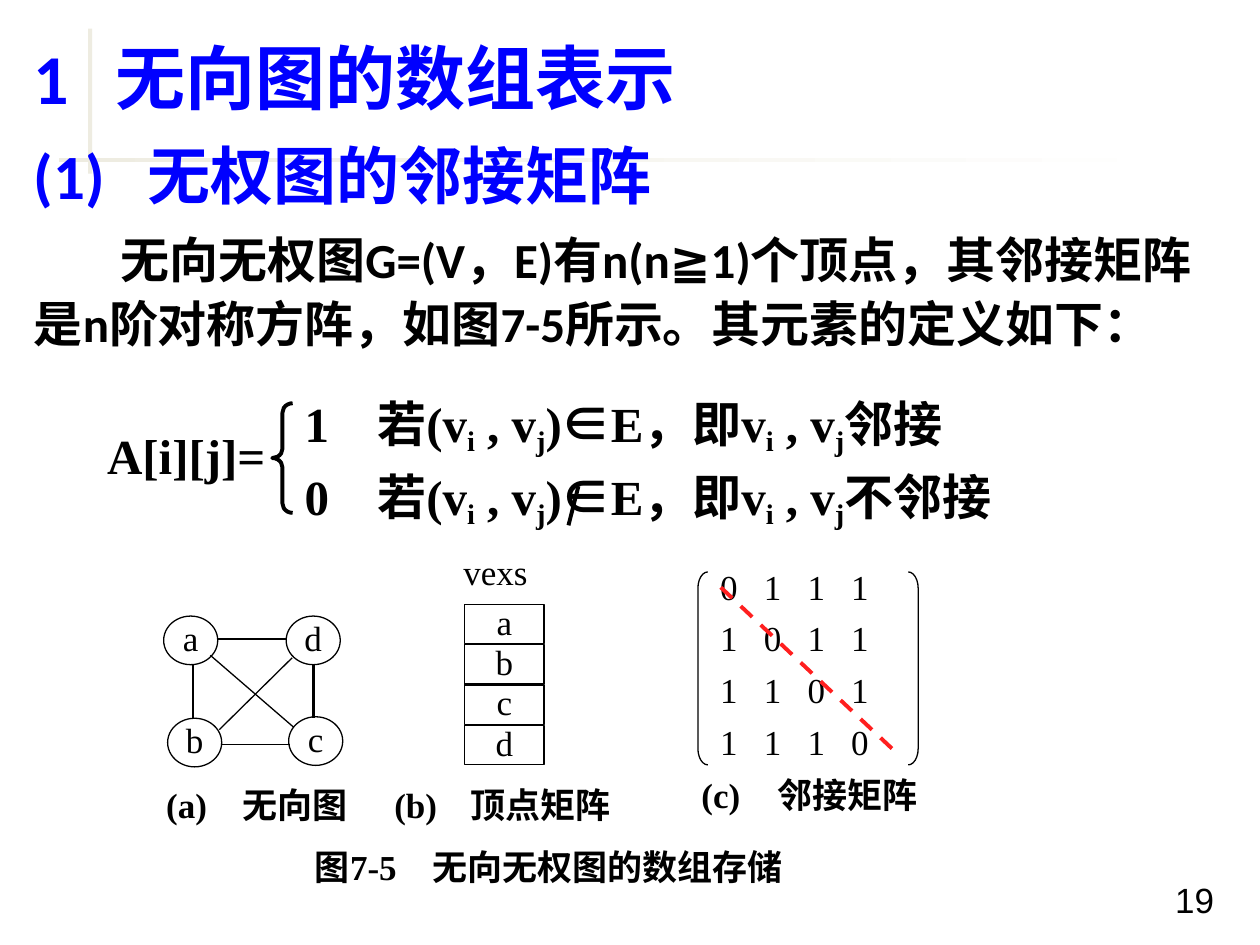
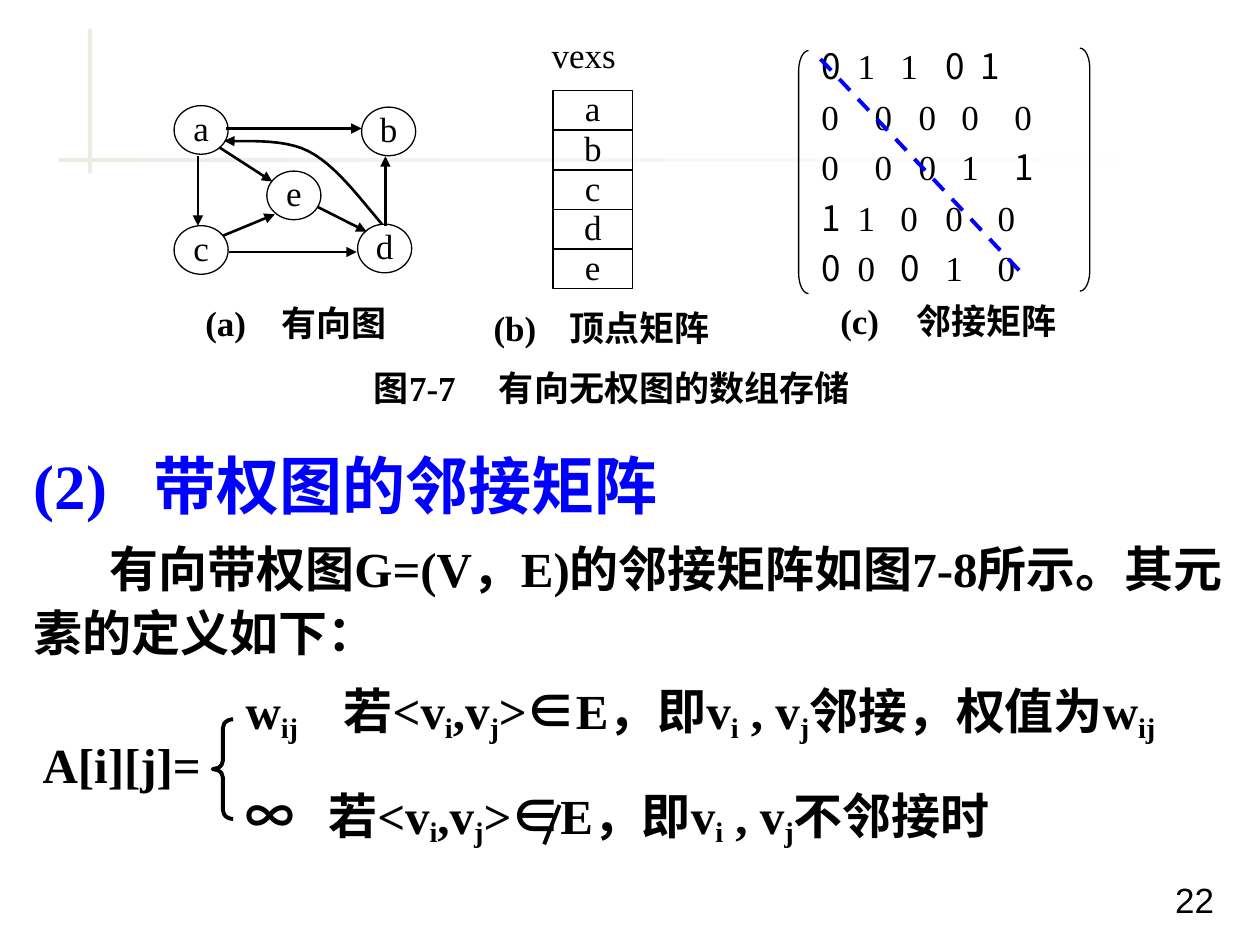
import pptx
import pptx.dml.color
import pptx.enum.dml
import pptx.enum.shapes
import pptx.enum.text
import pptx.oxml
import pptx.oxml.ns
import pptx.util

Cm, Pt = pptx.util.Cm, pptx.util.Pt
SHAPE = pptx.enum.shapes.MSO_SHAPE
ALIGN = pptx.enum.text.PP_ALIGN
ANCHOR = pptx.enum.text.MSO_ANCHOR
DRAWING = pptx.oxml.ns.nsdecls("a")

BLACK = pptx.dml.color.RGBColor(0x00, 0x00, 0x00)
BLUE = pptx.dml.color.RGBColor(0x00, 0x00, 0xFF)
RED = pptx.dml.color.RGBColor(0xFF, 0x1F, 0x1F)
WHITE = pptx.dml.color.RGBColor(0xFF, 0xFF, 0xFF)
BEIGE = pptx.dml.color.RGBColor(0xEE, 0xEC, 0xE1)

SERIF, SANS, CJK = "Times New Roman", "Calibri", "Noto Sans CJK SC"
PLAIN = {"name": SERIF, "size": Pt(20), "bold": False}
CAPTION = PLAIN | {"bold": True}
FORMULA = CAPTION | {"size": Pt(28)}
NUMBER = PLAIN | {"name": "Arial"}


def write(paragraph, markup, font, color=BLACK, tabs=(), indents=None, **layout):
    """Fill a paragraph; '|' parts runs, '_' starts a subscript, '~' a CJK-font run."""
    properties = paragraph._p.get_or_add_pPr()
    if indents:
        left, first = indents
        for key, value in {"marL": Cm(left), "indent": Cm(first), "hangingPunct": 0}.items():
            properties.set(key, str(int(value)))
        properties.append(pptx.oxml.parse_xml(f"<a:buNone {DRAWING}/>"))
    if tabs:
        stops = "".join(f'<a:tab pos="{int(Cm(stop))}" algn="l"/>' for stop in tabs)
        properties.append(pptx.oxml.parse_xml(f"<a:tabLst {DRAWING}>{stops}</a:tabLst>"))
    settings = {"line_spacing": 0.9, "space_before": Pt(0), "alignment": ALIGN.LEFT} | layout
    for key, value in settings.items():
        setattr(paragraph, key, value)
    for piece in markup.split("|"):
        run = paragraph.add_run()
        run.text = piece.lstrip("_~")
        run_font = font | {"name": CJK} if piece.startswith("~") else font
        for key, value in run_font.items():
            setattr(run.font, key, value)
        run.font.color.rgb = color
        run_properties = run._r.get_or_add_rPr()
        east_asian = CJK if piece.startswith("~") else SANS
        run_properties.append(pptx.oxml.parse_xml(
            f'<a:ea {DRAWING} typeface="{east_asian}"/>'))
        if piece.startswith("_"):
            run_properties.set("baseline", "-18000")


def outline(slide, kind, left, top, width, height, weight=0.75):
    """Add an unfilled black-lined preset shape, measured in centimetres."""
    shape = slide.shapes.add_shape(kind, Cm(left), Cm(top), Cm(width), Cm(height))
    shape.shadow.inherit = False
    shape.fill.background()
    shape.line.color.rgb = BLACK
    shape.line.width = Pt(weight)
    return shape


deck = pptx.Presentation()
deck.slide_width, deck.slide_height = Cm(25.4), Cm(19.05)
content_layout = deck.slide_layouts[1]
undirected = deck.slides.add_slide(content_layout)
directed = deck.slides.add_slide(content_layout)

# Crossed bands shared through the layout
vertical = outline(undirected, SHAPE.RECTANGLE, 1.78, 0.58, 0.08, 2.92)
vertical.fill.solid()
vertical.fill.fore_color.rgb = BEIGE
horizontal = outline(undirected, SHAPE.RECTANGLE, 1.19, 3.18, 22.86, 0.08)
horizontal.fill.gradient()
horizontal.fill.gradient_angle = 0
for stop, color, position in zip(horizontal.fill.gradient_stops, (BEIGE, WHITE), (0, 1)):
    stop.color.rgb = color
    stop.position = position
for band in (horizontal, vertical):
    band.line.fill.background()
    content_layout.shapes.element.insert(2, band.element)

# Headings and running text: (size, colour, (left, first-line) indents, line pitch, text)
sections = [
    (undirected, SANS, (0.36, 2.2), (2.5, 4.9),
     [(40, BLUE, (1.65, -1.65), 54, "1\t无向图的数组表示")],
     [(36, BLUE, (2.28, -2.28), 47, "(1)\t无权图的邻接矩阵"),
      (28, BLACK, (0, 1.75), 36.6,
       "无向无权图G=(V，E)有n(n≧1)个顶点，其邻接矩阵是n阶对称方阵，如图7-5所示。其元素的定义如下：")]),
    (directed, SERIF, (8.74, 1.84), (10.63, 2.9),
     [(36, BLUE, (2.42, -2.42), 47, "(2)\t带权图的邻接矩阵")],
     [(28, BLACK, (0, 1.53), 36.6,
       "有向带权图G=(V，E)的邻接矩阵如图7-8所示。其元素的定义如下：")]),
]
for slide, face, heading_span, body_span, heading, body in sections:
    for holder, (top, height), lines in zip(slide.placeholders, (heading_span, body_span),
                                            (heading, body)):
        holder.left, holder.top = Cm(0.43), Cm(top)
        holder.width, holder.height = Cm(24.49), Cm(height)
        frame = holder.text_frame
        frame.auto_size = pptx.enum.text.MSO_AUTO_SIZE.NONE
        frame.vertical_anchor = ANCHOR.TOP
        for index, (size, color, indents, pitch, text) in enumerate(lines):
            paragraph = frame.add_paragraph() if index else frame.paragraphs[0]
            write(paragraph, text, {"name": face, "size": Pt(size), "bold": True}, color,
                  indents=indents, line_spacing=Pt(pitch),
                  space_before=Pt(6.6 if index else 0))

# Formulas, captions and matrix rows: (slide, text, left, top, width, height, font, tabs)
labels = [
    (undirected, "1\t若(v|_i| , v|_j|)|~∈|E，即v|_i| , v|_j|邻接",
     5.89, 7.92, 14.2, 1.3, FORMULA, [1.47]),
    (undirected, "0\t若(v|_i| , v|_j|)|~∈|E，即v|_i| , v|_j|不邻接",
     5.89, 9.4, 15.4, 1.3, FORMULA, [1.47]),
    (undirected, "A[i][j]=", 1.91, 8.66, 3.6, 1.19, FORMULA, []),
    (undirected, "(a)\t无向图", 3.1, 15.82, 4.2, 0.89, CAPTION, [1.53]),
    (undirected, "(b)\t顶点矩阵", 7.7, 15.82, 5, 0.89, CAPTION, [1.53]),
    (undirected, "(c)\t邻接矩阵", 13.89, 15.62, 5, 0.89, CAPTION, [1.53]),
    (undirected, "图7-5\t无向无权图的数组存储", 6.1, 17.07, 10, 0.89, CAPTION, [2.36]),
    (undirected, "vexs", 9.09, 11.13, 2, 0.89, PLAIN, []),
    (directed, "w|_ij|\t若<v|_i|,v|_j|>|~∈|E，即v|_i| , v|_j|邻接，权值为w|_ij",
     4.7, 13.72, 20.5, 1.3, FORMULA, [1.98]),
    (directed, "~∞|\t若<v|_i|,v|_j|>|~∈|E，即v|_i| , v|_j|不邻接时",
     4.7, 15.82, 16.8, 1.3, FORMULA, [1.67]),
    (directed, "A[i][j]=", 0.61, 14.88, 3.6, 1.19, FORMULA, []),
    (directed, "(a)\t有向图", 3.89, 6.12, 4.2, 0.89, CAPTION, [1.53]),
    (directed, "(b)\t顶点矩阵", 9.7, 6.22, 5, 0.89, CAPTION, [1.53]),
    (directed, "(c)\t邻接矩阵", 16.69, 6.07, 5, 0.89, CAPTION, [1.53]),
    (directed, "图7-7\t有向无权图的数组存储", 7.29, 7.42, 10, 0.89, CAPTION, [2.52]),
    (directed, "vexs", 10.87, 0.71, 2, 0.89, PLAIN, []),
    (undirected, "19", 23.44, 17.68, 1.9, 1.02, NUMBER, []),
    (directed, "22", 23.44, 17.68, 1.9, 1.02, NUMBER, []),
]
for row in range(4):
    digits = "\t".join("0" if row == column else "1" for column in range(4))
    labels.append((undirected, digits, 14.27, 11.43 + 1.04 * row, 3.89, 0.89, PLAIN,
                   [0.88, 1.76, 2.64]))
narrow, wide = [0.73, 1.59, 2.5], [1.07, 1.96, 2.82, 3.89]
directed_rows = [
    ("~0|\t1\t1\t|~0|\t|~1", narrow + [3.21]),
    ("0\t0\t0\t0\t0", wide),
    ("0\t0\t0\t1\t|~1", wide),
    ("~1|\t1\t0\t0\t0", narrow + [3.55]),
    ("~0|\t0\t|~0|\t1\t0", narrow + [3.55]),
]
for row, (digits, stops) in enumerate(directed_rows):
    labels.append((directed, digits, 16.31, 0.93 + 1.02 * row, 5.31, 0.89, PLAIN, stops))

for slide, text, left, top, width, height, font, tabs in labels:
    frame = slide.shapes.add_textbox(Cm(left), Cm(top), Cm(width), Cm(height)).text_frame
    frame.word_wrap = True
    frame.margin_right = 0
    frame.vertical_anchor = ANCHOR.TOP if font is NUMBER else ANCHOR.MIDDLE
    write(frame.paragraphs[0], text, font, tabs=tabs)

# Graph vertices and vertex arrays
vertices = [
    (undirected, {"a": (3.3, 12.42), "b": (3.38, 14.48), "c": (5.82, 14.45),
                  "d": (5.77, 12.42)}, 9.37, 12.19, 0.81),
    (directed, {"a": (3.51, 2.13), "b": (7.29, 2.16), "c": (3.51, 4.55),
                "d": (7.21, 4.52), "e": (5.38, 3.45)}, 11.15, 1.83, 0.8),
]
for slide, places, array_left, array_top, step in vertices:
    for index, (name, (left, top)) in enumerate(places.items()):
        node = outline(slide, SHAPE.OVAL, left, top, 1.09, 0.98)
        cell = outline(slide, SHAPE.RECTANGLE, array_left, array_top + step * index, 1.6, 0.79)
        for holder in (node, cell):
            frame = holder.text_frame
            frame.word_wrap = False
            frame.vertical_anchor = ANCHOR.MIDDLE
            for side in ("left", "right", "top", "bottom"):
                setattr(frame, f"margin_{side}", 0)
            write(frame.paragraphs[0], name, PLAIN, alignment=ALIGN.CENTER)

# Braces of the formulas and brackets of the matrices
enclosures = [
    (undirected, SHAPE.LEFT_BRACE, 5.49, 8.13, 0.41, 2.21, 2.25, 0.46),
    (directed, SHAPE.LEFT_BRACE, 4.29, 14.5, 0.41, 2.01, 2.25, 0.42),
    (undirected, SHAPE.LEFT_BRACKET, 14.07, 11.53, 0.2, 3.89, 0.75, 1.64),
    (undirected, SHAPE.RIGHT_BRACKET, 18.31, 11.53, 0.2, 3.89, 0.75, 1.64),
    (directed, SHAPE.LEFT_BRACKET, 16.1, 1.02, 0.2, 4.9, 0.75, 2.06),
    (directed, SHAPE.RIGHT_BRACKET, 21.77, 0.97, 0.2, 4.9, 0.75, 2.06),
]
for *placement, curl in enclosures:
    outline(*placement).adjustments[0] = curl

# Graph edges, "not in" strokes and matrix diagonals
thin, medium, thick = Pt(0.75), Pt(1.5), Pt(2.25)
strokes = [
    (undirected, medium, BLACK, [(3.89, 13.41, 3.89, 14.48), (6.32, 13.41, 6.32, 14.48)]),
    (undirected, thin, BLACK, [(4.24, 13.21, 5.92, 14.66), (4.39, 12.88, 5.77, 12.88),
                               (4.45, 15.01, 5.84, 15.01), (4.42, 14.71, 5.89, 13.26)]),
    (undirected, thick, BLACK, [(11.66, 9.8, 11.46, 10.59)]),
    (undirected, thick, RED, [(14.53, 11.84, 18.14, 15.24)]),
    (directed, medium, BLACK, [(3.99, 3.15, 3.99, 4.55), (7.77, 4.55, 7.77, 3.15),
                               (4.55, 2.59, 7.29, 2.59), (4.42, 2.97, 5.49, 3.66),
                               (4.62, 5.08, 7.19, 5.08), (6.4, 4.17, 7.39, 4.67),
                               (4.5, 4.75, 5.54, 4.32)]),
    (directed, thick, BLACK, [(11.28, 16.23, 10.97, 17.02)]),
    (directed, thick, BLUE, [(16.54, 1.19, 20.6, 5.51)]),
]
arrows = []
for slide, weight, color, segments in strokes:
    for segment in segments:
        stroke = slide.shapes.add_connector(pptx.enum.shapes.MSO_CONNECTOR.STRAIGHT,
                                            *[Cm(value) for value in segment])
        stroke.line.width = weight
        stroke.line.color.rgb = color
        if color != BLACK:
            stroke.line.dash_style = pptx.enum.dml.MSO_LINE.DASH
        stroke.element.spPr.append(pptx.oxml.parse_xml(f"<a:effectLst {DRAWING}/>"))
        if slide is directed and weight == medium:
            arrows.append(stroke)

# Curved edge from d back to a, sampled from two cubic Bézier arcs
arcs = [((7.7, 4.52), (7.21, 3.94), (6.76, 3.33), (6.22, 3.05)),
        ((6.22, 3.05), (5.69, 2.77), (4.8, 2.87), (4.52, 2.84))]
steps = 12
curve_points = []
for arc in arcs:
    for t in [step / steps for step in range(1, steps + 1)]:
        weights = ((1 - t) ** 3, 3 * t * (1 - t) ** 2, 3 * t ** 2 * (1 - t), t ** 3)
        curve_points.append(tuple(
            Cm(sum(w * point[axis] for w, point in zip(weights, arc))) for axis in (0, 1)))
builder = directed.shapes.build_freeform(Cm(7.7), Cm(4.52))
builder.add_line_segments(curve_points, close=False)
back_edge = builder.convert_to_shape()
back_edge.shadow.inherit = False
back_edge.fill.background()
back_edge.line.color.rgb = BLACK
back_edge.line.width = medium
arrows.append(back_edge)

for arrow in arrows:
    arrow.line._get_or_add_ln().append(pptx.oxml.parse_xml(
        f'<a:tailEnd {DRAWING} type="triangle"/>'))

deck.save("out.pptx")
